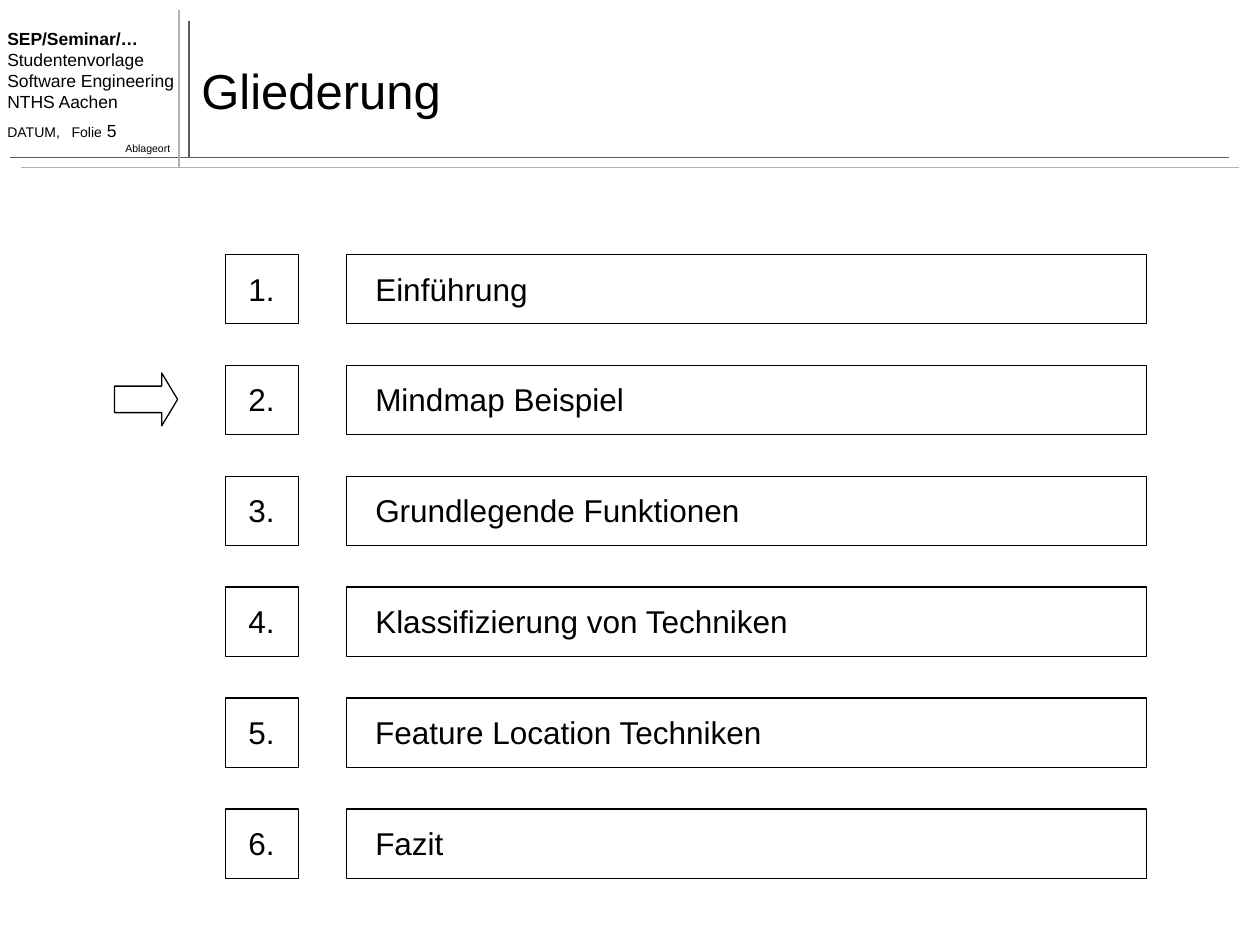
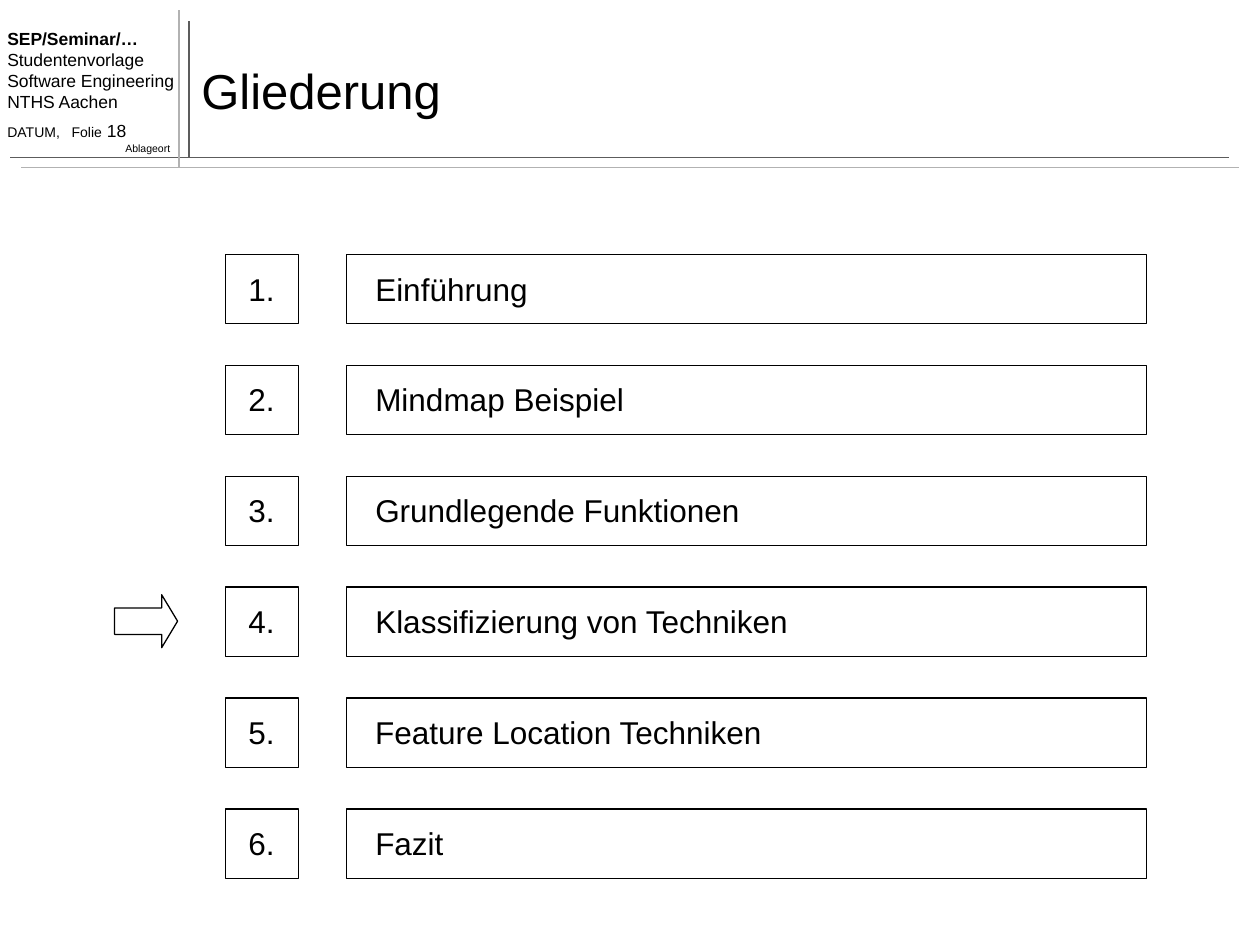
import lxml.etree
import pptx
import pptx.dml.color
import pptx.enum.shapes
import pptx.enum.text
import pptx.oxml.ns
import pptx.util

Inches = pptx.util.Inches
Pt = pptx.util.Pt
Color = pptx.dml.color.RGBColor
Align = pptx.enum.text.PP_ALIGN
Anchor = pptx.enum.text.MSO_ANCHOR
Size = pptx.enum.text.MSO_AUTO_SIZE
Shape = pptx.enum.shapes.MSO_SHAPE
qn = pptx.oxml.ns.qn

BLACK = Color(0x00, 0x00, 0x00)
DARK = Color(0x5C, 0x5C, 0x5C)
LIGHT = Color(0xB2, 0xB2, 0xB2)

RULES = [
    (1.5, 1.25, 1.5, 0.17, DARK),
    (0.08, 1.25, 9.75, 1.25, DARK),
    (0.17, 1.33, 9.83, 1.33, LIGHT),
    (1.42, 1.33, 1.42, 0.08, LIGHT),
]
TOPICS = [
    ("Einführung", 1.42),
    ("Mindmap Beispiel", 2.22),
    ("Grundlegende Funktionen", 3.12),
    ("Klassifizierung von Techniken", 3.51),
    ("Feature Location Techniken", 3.3),
    ("Fazit", 0.75),
]
MARKS = [(5, 2), (18, 4)]
TOP, STEP = 2.02, 0.88

GROW = {"auto_size": Size.SHAPE_TO_FIT_TEXT}
TIGHT = {**GROW, "word_wrap": False}
MID = {"vertical_anchor": Anchor.MIDDLE}


def apply(item, values):
    for name, value in values.items():
        setattr(item, name, value)


class Deck:
    """Hold the deck style and draw elements on the current slide."""

    font = {"name": "Arial", "bold": False}

    def __init__(self):
        self.file = pptx.Presentation()
        apply(self.file, {"slide_width": Inches(10), "slide_height": Inches(7.5)})

    def page(self):
        self.slide = self.file.slides.add_slide(self.file.slide_layouts[6])
        self.pen = self.slide.shapes

    def group(self):
        self.pen = self.slide.shapes.add_group_shape().shapes

    def rule(self, left, top, right, low, color):
        kind = pptx.enum.shapes.MSO_CONNECTOR.STRAIGHT
        line = self.pen.add_connector(kind, *map(Inches, (left, top, right, low)))
        line.line.color.rgb = color
        line.line.width = Pt(1)
        lxml.etree.SubElement(line.element.spPr, qn("a:effectLst"))

    def shape(self, kind, area, bends=()):
        item = self.pen.add_shape(kind, *map(Inches, area))
        for spot, bend in enumerate(bends):
            item.adjustments[spot] = bend
        item.shadow.inherit = False
        item.fill.background()
        item.line.color.rgb = BLACK
        item.line.width = Pt(0.75)

    def text(self, area, lines, frame, para=None):
        """Write lines, each a list of (text, font values) runs."""
        body = self.pen.add_textbox(*map(Inches, area)).text_frame
        apply(body, {"word_wrap": True, **frame})
        for count, runs in enumerate(lines):
            row = body.add_paragraph() if count else body.paragraphs[0]
            apply(row, para or {})
            for words, style in runs:
                run = row.add_run()
                run.text = words
                apply(run.font, {**self.font, **style})
                run.font.color.rgb = BLACK
        return body

    def tab(self, row, place):
        stops = lxml.etree.SubElement(row._p.get_or_add_pPr(), qn("a:tabLst"))
        lxml.etree.SubElement(stops, qn("a:tab"), pos=str(Inches(place)), algn="l")

    def header(self, number):
        for rule in RULES:
            self.rule(*rule)
        plain = {"size": Pt(10)}
        names = ["Studentenvorlage", "Software Engineering", "NTHS Aachen"]
        lines = [[("SEP/Seminar/…", {**plain, "bold": True})]]
        lines += [[(name, plain)] for name in names]
        lines.append([("DATUM,\tFolie", {"size": Pt(8)}), (f" {number}", plain)])
        body = self.text((-0.04, 0.17, 1.54, 1.03), lines, GROW)
        last = body.paragraphs[-1]
        last.space_before = Pt(5)
        self.tab(last, 0.51)
        self.text((0.89, 1.08, 0.56, 0.2), [[("Ablageort", {"size": Pt(6)})]],
                  TIGHT, {"alignment": Align.RIGHT})

    def title(self, words):
        self.text((1.5, 0.25, 8.33, 0.92), [[(words, {"size": Pt(28)})]], MID)

    def label(self, area, words, align):
        self.text(area, [[(words, {"size": Pt(18)})]], {**TIGHT, **MID},
                  {"alignment": align})

    def topic(self, number, name, width, marked):
        top = TOP + (number - 1) * STEP
        self.group()
        self.shape(Shape.RECTANGLE, (2.75, top, 6.35, 0.55))
        self.label((2.88, top + 0.07, width, 0.4), name, Align.LEFT)
        self.shape(Shape.RECTANGLE, (1.79, top, 0.58, 0.55))
        self.label((1.87, top + 0.07, 0.41, 0.4), f"{number}.", Align.CENTER)
        if marked:
            self.shape(Shape.RIGHT_ARROW, (0.91, top + 0.06, 0.5, 0.42), (0.5, 0.3))


def main():
    deck = Deck()
    for page, current in MARKS:
        deck.page()
        deck.header(page)
        deck.title("Gliederung")
        for number, (name, width) in enumerate(TOPICS, 1):
            deck.topic(number, name, width, number == current)
    deck.file.save("out.pptx")


if __name__ == "__main__":
    main()
